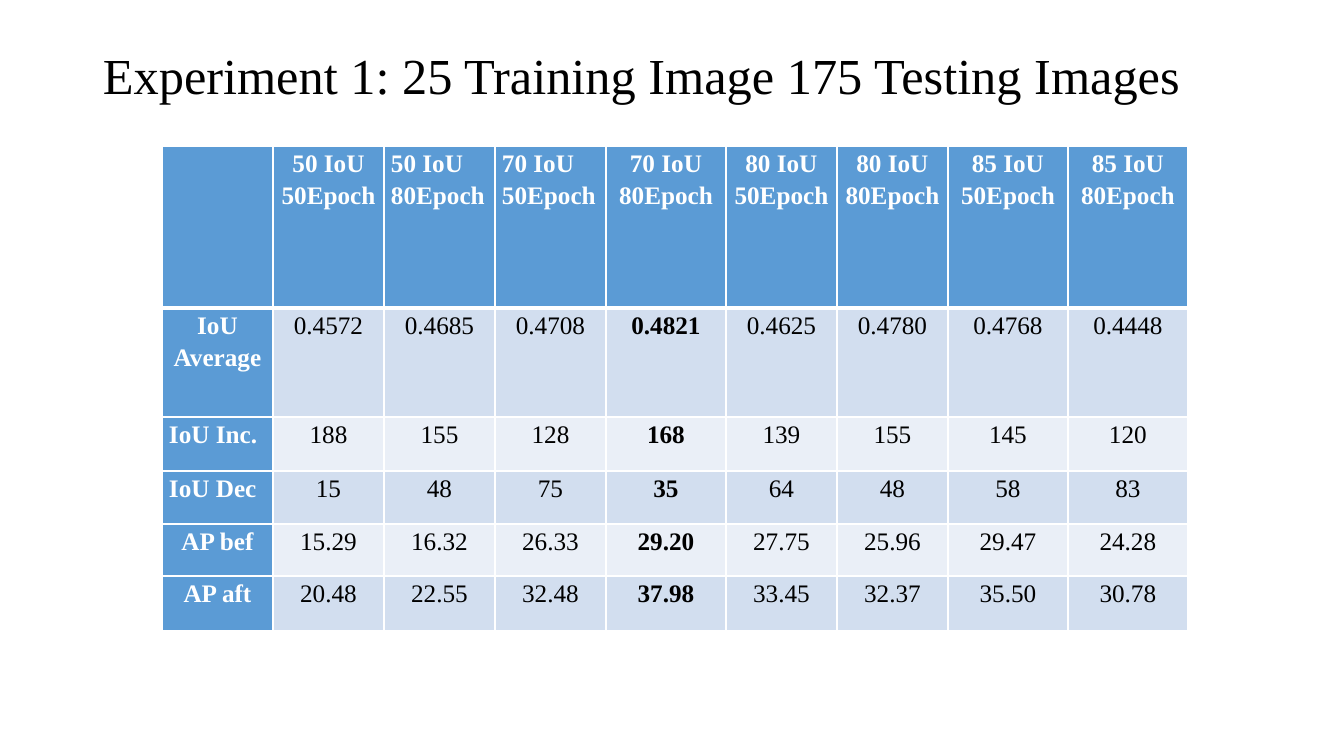
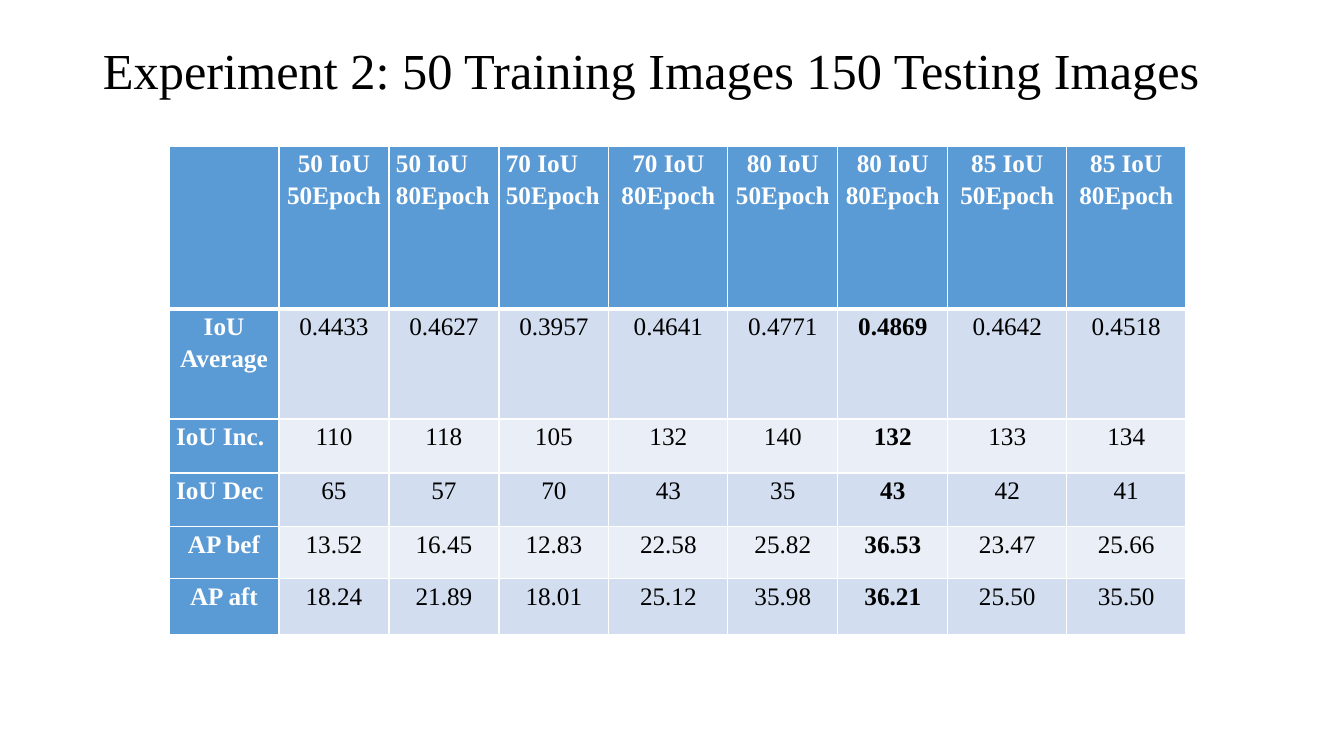
from itertools import product

from lxml.etree import SubElement
from pptx import Presentation
from pptx.dml.color import RGBColor
from pptx.enum.text import MSO_ANCHOR as Anchor, PP_ALIGN as Align
from pptx.oxml.ns import qn
from pptx.util import Emu, Pt

WHITE = RGBColor(0xFF, 0xFF, 0xFF)
BLACK = RGBColor(0x00, 0x00, 0x00)
BLUE = RGBColor(0x5B, 0x9B, 0xD5)
BANDS = (RGBColor(0xD2, 0xDE, 0xEF), RGBColor(0xEA, 0xEF, 0xF7))
FONT = "Times New Roman"

HEADERS = [""] + [f"{iou} IoU\n{epochs}Epoch"
                  for iou, epochs in product((50, 70, 80, 85), (50, 80))]
LABELS = ["IoU Average", "IoU Inc.", "IoU Dec", "AP bef", "AP aft"]
JUSTIFIED = {(0, 2), (0, 3), (2, 0), (3, 0)}
WIDE_COLUMNS = {4, 7, 8}

EXPERIMENTS = [
    {
        "title": "Experiment 1: 25 Training Image 175 Testing Images",
        "title_area": (93, 40, 1183, 76),
        "table_at": (162, 146),
        "widths": (111, 120),
        "heights": (162, 109, 54, 53, 52, 55),
        "best_column": 4,
        "results": [
            ("0.4572", "0.4685", "0.4708", "0.4821", "0.4625", "0.4780", "0.4768", "0.4448"),
            ("188", "155", "128", "168", "139", "155", "145", "120"),
            ("15", "48", "75", "35", "64", "48", "58", "83"),
            ("15.29", "16.32", "26.33", "29.20", "27.75", "25.96", "29.47", "24.28"),
            ("20.48", "22.55", "32.48", "37.98", "33.45", "32.37", "35.50", "30.78"),
        ],
    },
    {
        "title": "Experiment 2: 50 Training Images 150 Testing Images",
        "title_area": (93, 0, 1159, 146),
        "table_at": (169, 146),
        "widths": (110, 119),
        "heights": (163, 110, 54, 54, 52, 56),
        "best_column": 6,
        "results": [
            ("0.4433", "0.4627", "0.3957", "0.4641", "0.4771", "0.4869", "0.4642", "0.4518"),
            ("110", "118", "105", "132", "140", "132", "133", "134"),
            ("65", "57", "70", "43", "35", "43", "42", "41"),
            ("13.52", "16.45", "12.83", "22.58", "25.82", "36.53", "23.47", "25.66"),
            ("18.24", "21.89", "18.01", "25.12", "35.98", "36.21", "25.50", "35.50"),
        ],
    },
]


def px(length):
    return Emu(round(length * 914400 / 100.8))


def style_text(frame, size, color, bold, align, spacing):
    for para in frame.paragraphs:
        para.alignment = align
        para.line_spacing = spacing
        for span in para.runs:
            span.font.name = FONT
            span.font.size = Pt(size)
            span.font.bold = bold
            span.font.color.rgb = color


def add_title(page, text, area):
    frame = page.shapes.add_textbox(*map(px, area)).text_frame
    frame.word_wrap = True
    frame.vertical_anchor = Anchor.MIDDLE
    frame.text = text
    style_text(frame, 36, BLACK, False, Align.LEFT, 0.9)


def add_borders(cell, row):
    properties = cell._tc.get_or_add_tcPr()
    weights = {"L": 1, "R": 1, "T": 3 if row == 1 else 1, "B": 3 if row == 0 else 1}
    for side, weight in weights.items():
        line = SubElement(properties, qn(f"a:ln{side}"), w=str(Pt(weight)))
        fill = SubElement(line, qn("a:solidFill"))
        SubElement(fill, qn("a:srgbClr"), val=str(WHITE))


def fill_cell(cell, text, row, column, best_column):
    heading = row == 0 or column == 0
    add_borders(cell, row)
    cell.fill.solid()
    cell.fill.fore_color.rgb = BLUE if heading else BANDS[(row - 1) % 2]
    cell.margin_left = cell.margin_right = px(7)
    cell.margin_top = cell.margin_bottom = 0
    cell.text_frame.text = text
    style_text(cell.text_frame, 18, WHITE if heading else BLACK,
               heading or column == best_column,
               Align.JUSTIFY if (row, column) in JUSTIFIED else Align.CENTER, 1.15)


def add_results(page, experiment):
    rows = [HEADERS] + [[label, *values]
                        for label, values in zip(LABELS, experiment["results"])]
    narrow, wide = experiment["widths"]
    widths = [wide if column in WIDE_COLUMNS else narrow for column in range(len(HEADERS))]
    heights = experiment["heights"]
    table = page.shapes.add_table(len(rows), len(widths), *map(px, experiment["table_at"]),
                                  px(sum(widths)), px(sum(heights))).table
    for column, width in zip(table.columns, widths):
        column.width = px(width)
    for line, height in zip(table.rows, heights):
        line.height = px(height)
    for row, texts in enumerate(rows):
        for column, text in enumerate(texts):
            fill_cell(table.cell(row, column), text, row, column, experiment["best_column"])


def main():
    deck = Presentation()
    deck.slide_width, deck.slide_height = px(1344), px(756)
    for experiment in EXPERIMENTS:
        page = deck.slides.add_slide(deck.slide_layouts[6])
        add_title(page, experiment["title"], experiment["title_area"])
        add_results(page, experiment)
    deck.save("out.pptx")


if __name__ == "__main__":
    main()
